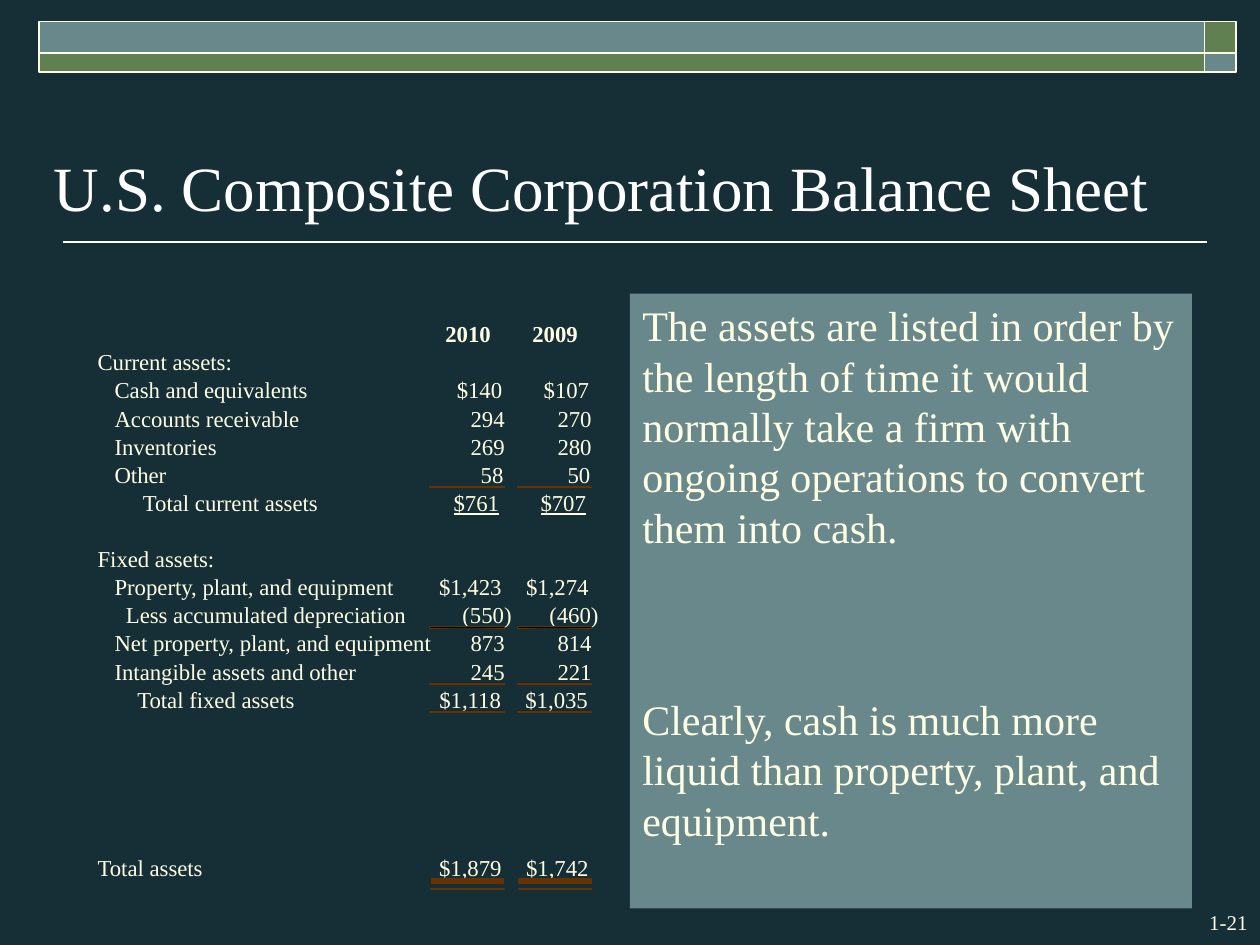
from dataclasses import dataclass
from lxml.etree import SubElement
from pptx import Presentation
from pptx.dml.color import RGBColor
from pptx.enum.shapes import MSO_CONNECTOR as Connector, MSO_SHAPE as Shape
from pptx.enum.text import MSO_ANCHOR as Anchor, PP_ALIGN as Align
from pptx.oxml.ns import qn
from pptx.util import Inches, Pt


@dataclass(frozen=True)
class Theme:
    background: str = "162E36"
    slate: str = "69888B"
    green: str = "618052"
    cream: str = "FFFFE3"
    white: str = "FFFFFF"
    brown: str = "663300"
    black: str = "000000"
    font: str = "Times New Roman"
    title: float = 36
    body: float = 24
    ledger: float = 13
    footer: float = 12


THEME = Theme()
COLUMNS, ROWS = 100, 75
LEDGER_TOP, LEDGER_ROW = 25.4, 2.23
LABEL_LEFT, SPACE = 7.75, 0.45
VALUE_RIGHT, VALUE_PITCH, VALUE_WIDTH = 40.05, 6.9, 6

LEDGER = [
    (0, "", 0, ("2010", "2009"), -1.1),
    (1, "Current assets:", 0, (), 0),
    (2, "Cash and equivalents", 3, ("$140", "$107"), -0.2),
    (3, "Accounts receivable", 3, ("294", "270"), 0),
    (4, "Inventories", 3, ("269", "280"), 0),
    (5, "Other", 3, ("58", "50"), -0.1),
    (6, "Total current assets", 8, ("$761", "$707"), -0.45),
    (8, "Fixed assets:", 0, (), 0),
    (9, "Property, plant, and equipment", 3, ("$1,423", "$1,274"), -0.25),
    (10, "Less accumulated depreciation", 5, ("(550)", "(460)"), 0.55),
    (11, "Net property, plant, and equipment", 3, ("873", "814"), 0),
    (12, "Intangible assets and other", 3, ("245", "221"), 0),
    (13, "Total fixed assets", 7, ("$1,118", "$1,035"), -0.3),
    (19, "Total assets", 0, ("$1,879", "$1,742"), -0.25),
]
HEADING_ROW, UNDERLINED_ROW, TOTAL_ROW = 0, 6, 19
RULED_ROWS = (5, 10, 12, 13)


def write(frame, text, size=THEME.ledger, color=THEME.cream, bold=False, underline=False,
          align=Align.LEFT, anchor=Anchor.TOP, inset=(0, 0), line=None, gap=0):
    frame.word_wrap = True
    frame.vertical_anchor = anchor
    frame.margin_left = frame.margin_right = Inches(inset[0])
    frame.margin_top = frame.margin_bottom = Inches(inset[1])
    for index, words in enumerate(text.split("\n")):
        paragraph = frame.add_paragraph() if index else frame.paragraphs[0]
        paragraph.alignment = align
        paragraph.line_spacing = line
        paragraph.space_before = Pt(gap if index else 0)
        run = paragraph.add_run()
        run.text = words
        font = run.font
        font.name, font.size = THEME.font, Pt(size)
        font.bold, font.underline = bold, underline
        font.color.rgb = RGBColor.from_string(color)


class SlideBuilder:
    def __init__(self, presentation, theme):
        self.theme = theme
        self.column = presentation.slide_width / COLUMNS
        self.row = presentation.slide_height / ROWS
        self.slide = presentation.slides.add_slide(presentation.slide_layouts[6])
        fill = self.slide.background.fill
        fill.solid()
        fill.fore_color.rgb = RGBColor.from_string(theme.background)

    def place(self, left, top, width, height):
        return (round(left * self.column), round(top * self.row),
                round(width * self.column), round(height * self.row))

    def text(self, text, *area, **style):
        box = self.slide.shapes.add_textbox(*self.place(*area))
        write(box.text_frame, text, **style)

    def rectangle(self, fill, *area, line=None, weight=1):
        shape = self.slide.shapes.add_shape(Shape.RECTANGLE, *self.place(*area))
        shape.shadow.inherit = False
        shape.fill.solid()
        shape.fill.fore_color.rgb = RGBColor.from_string(fill)
        if line:
            shape.line.color.rgb = RGBColor.from_string(line)
            shape.line.width = Pt(weight)
        else:
            shape.line.fill.background()
        return shape

    def horizontal(self, left, right, height, color, weight):
        ends = self.place(left, height, right, height)
        connector = self.slide.shapes.add_connector(Connector.STRAIGHT, *ends)
        connector.line.color.rgb = RGBColor.from_string(color)
        connector.line.width = Pt(weight)
        SubElement(connector.element.spPr, qn("a:effectLst"))

    def banner(self):
        theme = self.theme
        self.horizontal(5, 95.8, 19.2, theme.cream, 1)
        bands = ((1.7, 2.5, theme.slate, theme.green), (4.2, 1.5, theme.green, theme.slate))
        for top, height, wide, corner in bands:
            self.rectangle(wide, 3.1, top, 92.5, height, line=theme.cream)
            self.rectangle(corner, 95.6, top, 2.5, height, line=theme.cream)

    def ledger(self):
        for row, label, indent, values, shift in LEDGER:
            top = LEDGER_TOP + row * LEDGER_ROW
            if label:
                self.text(label, LABEL_LEFT + indent * SPACE, top, 26.6, 2.2)
            for index, value in enumerate(values):
                right = VALUE_RIGHT + index * VALUE_PITCH + shift
                self.text(value, right - VALUE_WIDTH, top, VALUE_WIDTH, 2.2, align=Align.RIGHT,
                          bold=row == HEADING_ROW, underline=row == UNDERLINED_ROW)

    def rules(self):
        theme = self.theme
        for left in (34.1, 41.05):
            for row in RULED_ROWS:
                top = LEDGER_TOP + row * LEDGER_ROW + 2.03
                self.rectangle(theme.black, left, top, 5.9, 0.1, line=theme.brown, weight=0.25)
            total = LEDGER_TOP + TOTAL_ROW * LEDGER_ROW
            for offset in (2.03, 2.23):
                self.horizontal(left + 0.1, left + 5.9, total + offset, theme.brown, 0)
            self.rectangle(theme.black, left + 0.1, total + 2.73, 5.8, 0.1,
                           line=theme.brown, weight=0.75)

    def panel(self, text, *area):
        shape = self.rectangle(self.theme.slate, *area)
        write(shape.text_frame, text, size=self.theme.body, inset=(0.1, 0.05),
              line=Pt(28.8), gap=81)


def main():
    presentation = Presentation()
    presentation.slide_width, presentation.slide_height = Inches(10), Inches(7.5)
    builder = SlideBuilder(presentation, THEME)
    builder.banner()
    builder.text("1-21", 91.7, 71.7, 8.3, 3, size=THEME.footer, align=Align.RIGHT,
                 inset=(0.1, 0.05))
    builder.text("U.S. Composite Corporation Balance Sheet", 3.3, 5.8, 90.7, 12.5,
                 size=THEME.title, color=THEME.white, anchor=Anchor.BOTTOM, inset=(0.1, 0.05))
    builder.ledger()
    builder.rules()
    builder.panel("The assets are listed in order by the length of time it would normally take "
                  "a firm with ongoing operations to convert them into cash.\n"
                  "Clearly, cash is much more liquid than property, plant, and equipment.",
                  50, 23.3, 44.6, 48.8)
    presentation.save("out.pptx")


if __name__ == "__main__":
    main()
